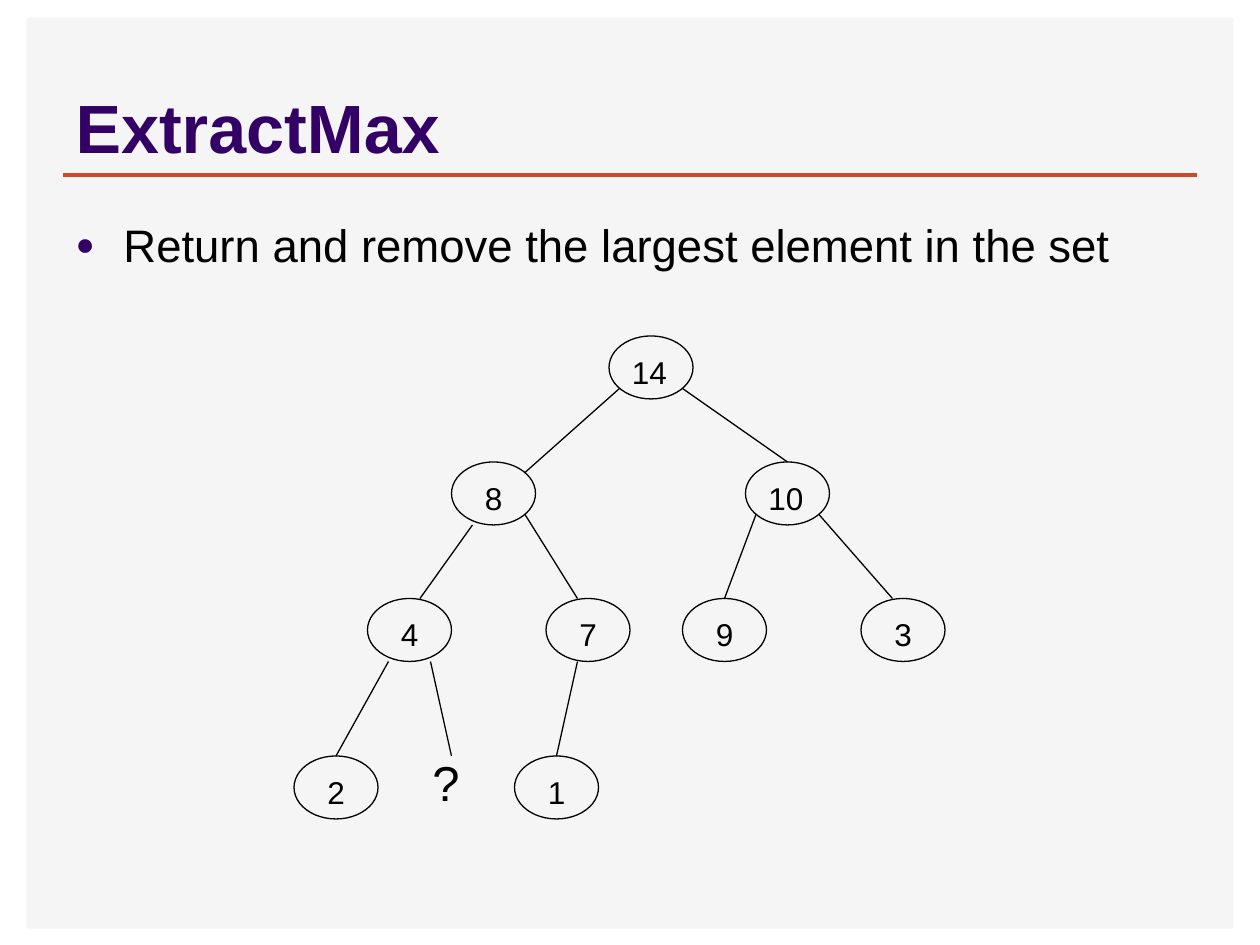
from dataclasses import dataclass

from lxml import etree
from pptx import Presentation
from pptx.dml.color import RGBColor
from pptx.enum.shapes import MSO_CONNECTOR, MSO_SHAPE
from pptx.enum.text import MSO_ANCHOR, MSO_AUTO_SIZE, PP_ALIGN
from pptx.oxml.ns import qn
from pptx.util import Inches, Pt

LINE = MSO_CONNECTOR.STRAIGHT
RECT, OVAL = MSO_SHAPE.RECTANGLE, MSO_SHAPE.OVAL
TOP, BOTTOM = MSO_ANCHOR.TOP, MSO_ANCHOR.BOTTOM
NO_FIT, GROW = MSO_AUTO_SIZE.NONE, MSO_AUTO_SIZE.SHAPE_TO_FIT_TEXT
LEFT = PP_ALIGN.LEFT


@dataclass(frozen=True)
class Theme:
    font: str = "Arial"
    panel: RGBColor = RGBColor(0xF5, 0xF5, 0xF5)
    rule: RGBColor = RGBColor(0xD2, 0x47, 0x26)
    accent: RGBColor = RGBColor(0x33, 0x00, 0x66)
    ink: RGBColor = RGBColor(0, 0, 0)
    title: int = 39
    body: int = 26
    node: int = 18
    unknown: int = 28


THEME = Theme()

# Heap layout in twelfths of an inch from the tree's top left corner
UNIT = 1 / 12
NODE_W, NODE_H = 8, 6
NODES = {
    "14": (30, 0),
    "8": (15, 12), "10": (43, 12),
    "4": (7, 25), "7": (24, 25), "9": (37, 25), "3": (54, 25),
    "2": (0, 40), "1": (21, 40),
}
EDGES = [
    (31, 5, 22, 13), (37, 5, 47, 12),
    (17, 18, 12, 25), (22, 17, 27, 25),
    (44, 17, 41, 25), (50, 17, 57, 25),
    (9, 31, 4, 40), (13, 31, 15, 40), (27, 31, 25, 40),
]


def place(shape, x, y, w, h):
    shape.left, shape.top = Inches(x), Inches(y)
    shape.width, shape.height = Inches(w), Inches(h)


def write(tf, text, size, color, bold=False, anchor=TOP, fit=NO_FIT):
    tf.text = text
    tf.auto_size = fit
    tf.vertical_anchor = anchor
    tf.word_wrap = True
    p = tf.paragraphs[0]
    p.alignment = LEFT
    p.space_before = Pt(0)
    font = p.runs[0].font
    font.name, font.size, font.bold = THEME.font, Pt(size), bold
    font.color.rgb = color


def add_line(shapes, x1, y1, x2, y2, color, width):
    line = shapes.add_connector(LINE, Inches(x1), Inches(y1), Inches(x2), Inches(y2))
    line.line.color.rgb = color
    line.line.width = Pt(width)
    etree.SubElement(line.element.spPr, qn("a:effectLst"))
    return line


def add_label(shapes, text, x, y, w, h, size):
    box = shapes.add_textbox(Inches(x), Inches(y), Inches(w), Inches(h))
    write(box.text_frame, text, size, THEME.ink, fit=GROW)


def add_backdrop(s, x, y, w, h):
    panel = s.shapes.add_shape(RECT, Inches(x), Inches(y), Inches(w), Inches(h))
    panel.shadow.inherit = False
    panel.fill.solid()
    panel.fill.fore_color.rgb = THEME.panel
    panel.line.fill.background()
    rule = add_line(s.shapes, x + 0.29, y + 1.25, x + w - 0.29, y + 1.25, THEME.rule, 2)
    # Keep both behind the placeholders
    for i, part in enumerate((panel, rule)):
        s.shapes.element.insert(2 + i, part.element)


def add_title(s, text, x, y, w, h):
    place(s.shapes.title, x, y, w, h)
    write(s.shapes.title.text_frame, text, THEME.title, THEME.accent, True, BOTTOM)


def add_body(s, text, x, y, w, h):
    body = s.placeholders[1]
    place(body, x, y, w, h)
    write(body.text_frame, text, THEME.body, THEME.ink)
    pPr = body.text_frame.paragraphs[0]._p.get_or_add_pPr()
    pPr.set("marL", str(Inches(0.38)))
    pPr.set("indent", str(Inches(-0.38)))
    color = etree.SubElement(pPr, qn("a:buClr"))
    etree.SubElement(color, qn("a:srgbClr"), val=str(THEME.accent))
    etree.SubElement(pPr, qn("a:buSzPct"), val="70000")
    etree.SubElement(pPr, qn("a:buFont"), typeface=THEME.font)
    etree.SubElement(pPr, qn("a:buChar"), char="●")


def add_node(s, text, x, y):
    node = s.shapes.add_group_shape().shapes
    oval = node.add_shape(OVAL, Inches(x), Inches(y),
                          Inches(NODE_W * UNIT), Inches(NODE_H * UNIT))
    oval.shadow.inherit = False
    oval.fill.background()
    oval.line.color.rgb = THEME.ink
    oval.line.width = Pt(0.75)
    inset = (1 if len(text) > 1 else 2) * UNIT
    add_label(node, text, x + inset, y + UNIT, 7 * UNIT, 0.4, THEME.node)


def add_heap(s, x, y):
    for x1, y1, x2, y2 in EDGES:
        add_line(s.shapes, x + x1 * UNIT, y + y1 * UNIT,
                 x + x2 * UNIT, y + y2 * UNIT, THEME.ink, 0.75)
    for text, (col, row) in NODES.items():
        add_node(s, text, x + col * UNIT, y + row * UNIT)
    # Empty position left in the last level
    add_label(s.shapes, "?", x + 1, y + 3.26, 0.75, 0.57, THEME.unknown)


def main():
    prs = Presentation()
    prs.slide_width, prs.slide_height = Inches(10), Inches(7.5)
    s = prs.slides.add_slide(prs.slide_layouts[1])
    add_backdrop(s, 0.21, 0.14, 9.58, 7.23)
    add_title(s, "ExtractMax", 0.5, 0.13, 9, 1.25)
    add_body(s, "Return and remove the largest element in the set", 0.5, 1.67, 9, 0.67)
    add_heap(s, 28 * UNIT, 32 * UNIT)
    prs.save("out.pptx")


if __name__ == "__main__":
    main()
